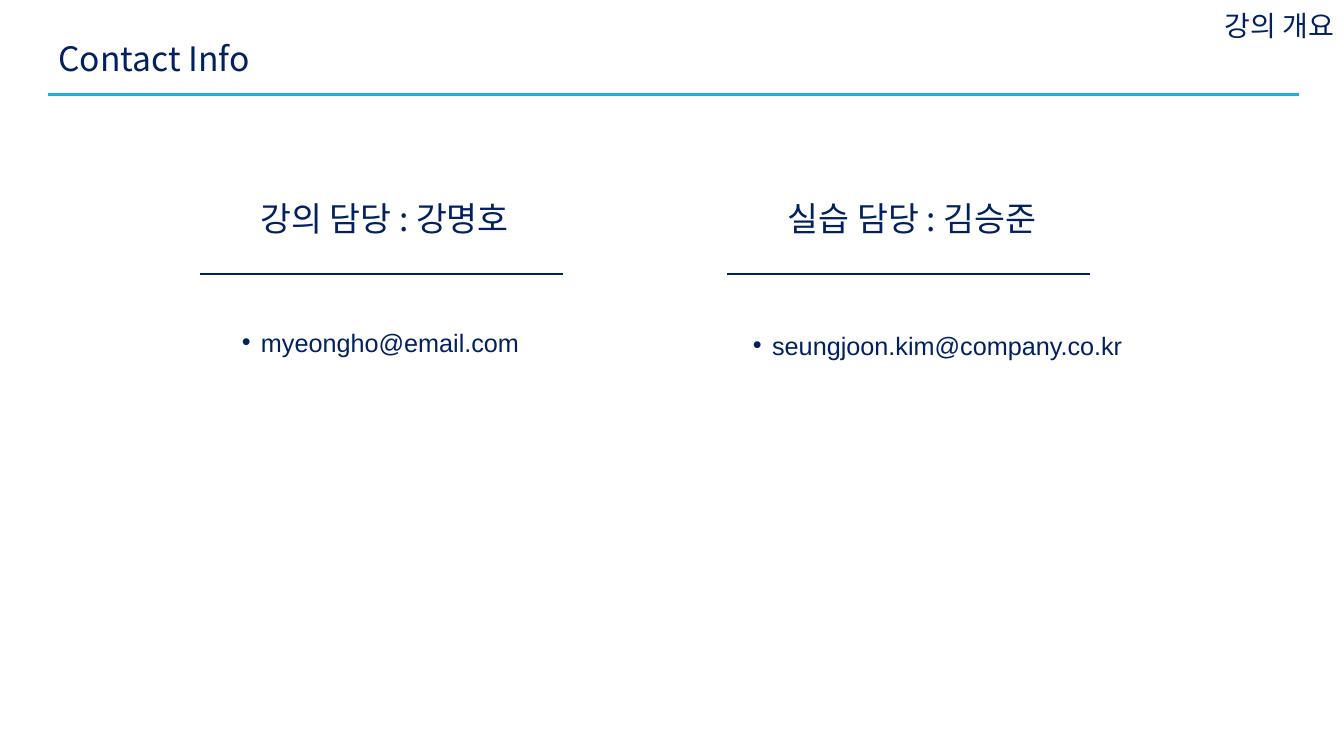
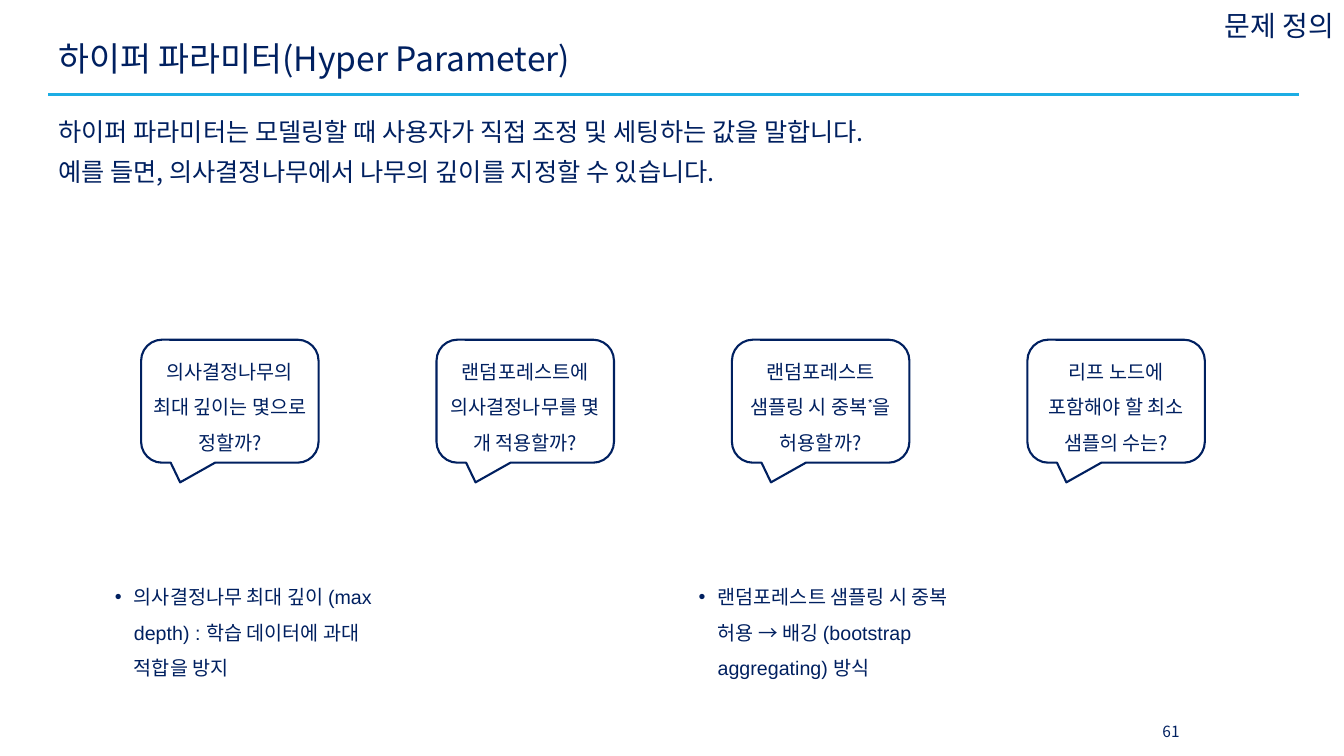
from dataclasses import dataclass

from lxml.etree import SubElement
from pptx import Presentation
from pptx.dml.color import RGBColor
from pptx.enum.shapes import MSO_CONNECTOR as Connector, MSO_SHAPE as Shape
from pptx.enum.text import MSO_ANCHOR as Anchor, MSO_AUTO_SIZE as AutoSize, PP_ALIGN as Align
from pptx.oxml.ns import qn
from pptx.util import Inches, Pt


@dataclass(frozen=True)
class Theme:
    navy: RGBColor = RGBColor(0x00, 0x20, 0x60)
    sky: RGBColor = RGBColor(0x1C, 0xAD, 0xE4)
    font: str = "Noto Sans CJK KR"
    latin: str = "Arial"
    title: int = 24
    section: int = 20
    body: int = 18
    note: int = 14
    page: int = 11


THEME = Theme()


def add_bullet(p, indent=0.19):
    pPr = p._p.get_or_add_pPr()
    pPr.set("marL", str(Inches(indent)))
    pPr.set("indent", str(-Inches(indent)))
    SubElement(pPr, qn("a:buFont"), typeface=THEME.latin)
    SubElement(pPr, qn("a:buChar"), char="•")


def write(tf, text, *, size=THEME.body, font=THEME.font, align=Align.LEFT, anchor=Anchor.TOP,
          spacing=1.0, bullet=False, wrap=True, insets=(0.1, 0.05, 0.1, 0.05)):
    tf.auto_size = AutoSize.NONE
    tf.word_wrap = wrap
    tf.vertical_anchor = anchor
    tf.margin_left, tf.margin_top, tf.margin_right, tf.margin_bottom = map(Inches, insets)
    for i, line in enumerate(text.split("\n")):
        p = tf.add_paragraph() if i else tf.paragraphs[0]
        p.alignment = align
        p.line_spacing = spacing
        if bullet:
            add_bullet(p)
        first, *rest = line.split("^")
        p.text = first
        for part in rest:
            p.add_run().text = part
        for r in p.runs:
            r.font.size = Pt(size)
            r.font.color.rgb = THEME.navy
            r.font.name = font
            rPr = r.font._element
            SubElement(rPr, qn("a:ea"), typeface=THEME.font)
            if r.text == "*":
                rPr.set("baseline", "30000")


class Deck:
    def __init__(self):
        self.prs = Presentation()
        self.prs.slide_width = Inches(13.33)
        self.prs.slide_height = Inches(7.5)
        self.s = None

    def slide(self, title, section):
        self.s = self.prs.slides.add_slide(self.prs.slide_layouts[5])
        sp = self.s.shapes.title
        sp.left, sp.top, sp.width, sp.height = map(Inches, (0.48, 0.29, 12.4, 0.63))
        write(sp.text_frame, title, size=THEME.title, anchor=Anchor.MIDDLE, spacing=0.9)
        self.rule(0.48, 0.94, 12.4, THEME.sky, 2.25)
        self.label(section, 9.26, 0.04, 4.07, size=THEME.section, align=Align.RIGHT)

    def rule(self, x, y, w, color=THEME.navy, weight=1):
        line = self.s.shapes.add_connector(
            Connector.STRAIGHT, Inches(x), Inches(y), Inches(x + w), Inches(y))
        line.line.color.rgb = color
        line.line.width = Pt(weight)
        SubElement(line._element.spPr, qn("a:effectLst"))

    def text(self, text, x, y, w, h, **style):
        sp = self.s.shapes.add_textbox(*map(Inches, (x, y, w, h)))
        write(sp.text_frame, text, **style)

    def label(self, text, x, y, w, **style):
        self.text(text, x, y, w, 0.43, anchor=Anchor.MIDDLE, wrap=False, **style)

    def bullet(self, text, x, y, w, h, **style):
        self.text(text, x, y, w, h, font=THEME.latin, bullet=True,
                  insets=(0.1, 0.12, 0.1, 0.05), **style)

    def callout(self, text, x, y, w=1.76, h=1.22):
        sp = self.s.shapes.add_shape(
            Shape.ROUNDED_RECTANGULAR_CALLOUT, *map(Inches, (x, y, w, h)))
        for i, value in enumerate((-0.28, 0.66, 0.17)):
            sp.adjustments[i] = value
        sp.shadow.inherit = False
        sp.fill.background()
        sp.line.color.rgb = THEME.navy
        sp.line.width = Pt(1.5)
        write(sp.text_frame, text, size=THEME.note, align=Align.CENTER, anchor=Anchor.MIDDLE,
              spacing=1.5, insets=(0.04, 0.05, 0.04, 0.05))

    def page_number(self, number):
        self.text(str(number), 11.3, 7.06, 0.63, 0.4, size=THEME.page,
                  align=Align.CENTER, anchor=Anchor.MIDDLE)


def contact_slide(deck):
    deck.slide("Contact Info", "강의 개요")
    contacts = (
        (1.98, "강의 담당 : 강명호", "myeongho@email.com", 2.3, 2.93),
        (7.21, "실습 담당 : 김승준", "seungjoon.kim@company.co.kr", 7.37, 2.96),
    )
    for x, role, email, email_x, email_y in contacts:
        deck.label(role, x + 0.16, 1.95, 3.35, size=THEME.title, align=Align.CENTER)
        deck.rule(x, 2.72, 3.6)
        deck.bullet(email, email_x, email_y, 4.37, 0.67, spacing=1.65)


def hyper_parameter_slide(deck):
    deck.slide("하이퍼 파라미터(Hyper Parameter)", "문제 정의")
    deck.text("하이퍼 파라미터는 모델링할 때 사용자가 직접 조정 및 세팅하는 값을 말합니다.\v"
              "예를 들면, 의사결정나무에서 나무의 깊이를 지정할 수 있습니다.",
              0.48, 1.02, 12.4, 1.26, spacing=1.3)
    questions = (
        "의사결정나무의 최대 깊이는 몇으로 정할까?",
        "랜덤포레스트에 의사결정나무를 몇 개 적용할까?",
        "랜덤포레스트\n샘플링 시 중복^*^을 허용할까?",
        "리프 노드에 포함해야 할 최소 샘플의 수는?",
    )
    for i, question in enumerate(questions):
        deck.callout(question, 1.4 + 2.93 * i, 3.37)
    notes = (
        (1.04, "의사결정나무 최대 깊이 (max depth) : 학습 데이터에 과대 적합을 방지"),
        (6.83, "랜덤포레스트 샘플링 시 중복 허용 → 배깅 (bootstrap aggregating) 방식"),
    )
    for x, note in notes:
        deck.bullet(note, x, 5.57, 2.94, 1.18, size=THEME.note, spacing=1.5)
    deck.page_number(61)


def main():
    deck = Deck()
    contact_slide(deck)
    hyper_parameter_slide(deck)
    deck.prs.save("out.pptx")


if __name__ == "__main__":
    main()
